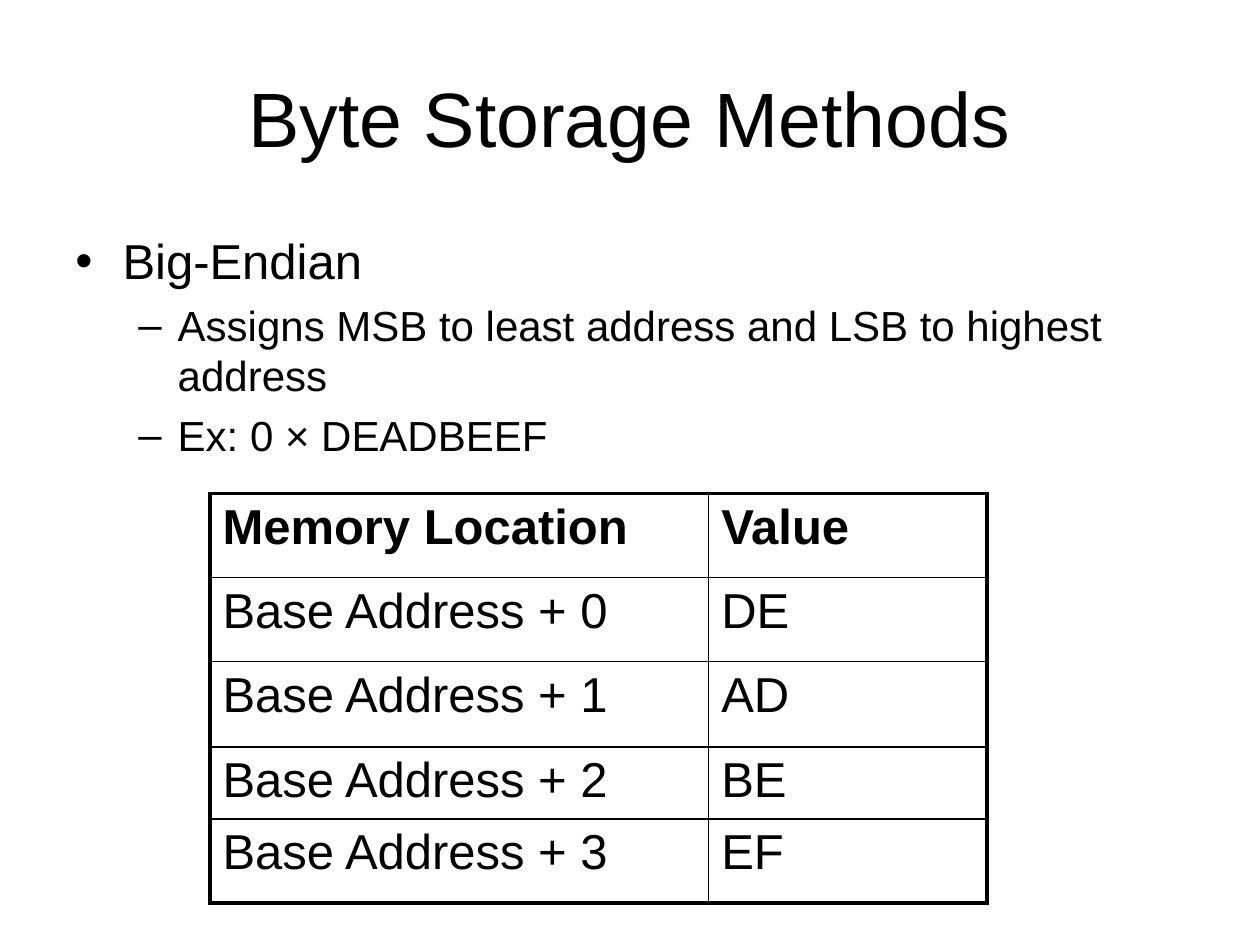
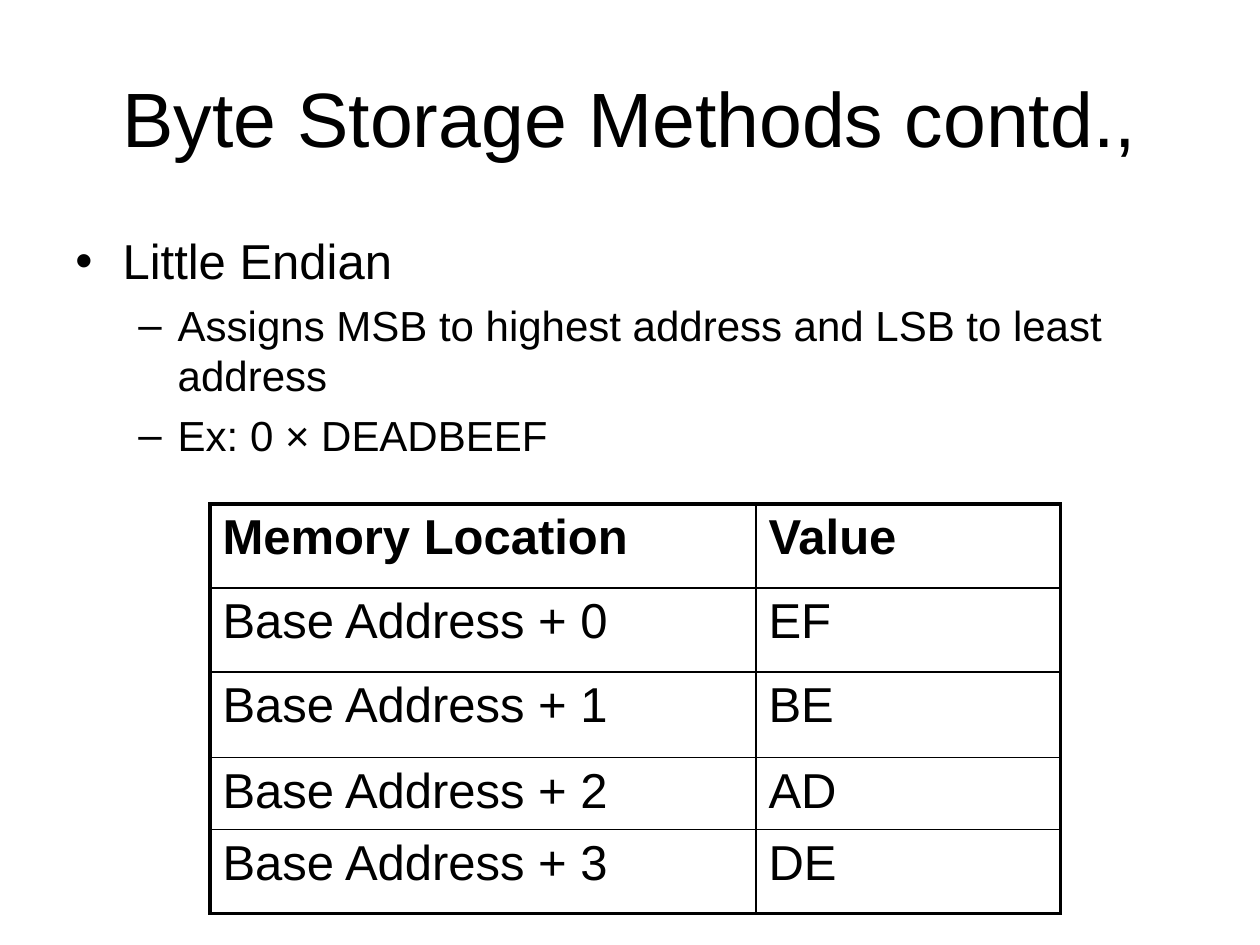
from lxml import etree
from pptx import Presentation
from pptx.dml.color import RGBColor
from pptx.enum import text
from pptx.oxml.ns import qn
from pptx.util import Pt

SLIDES = [
    {
        "title": "Byte Storage Methods",
        "method": "Big-Endian",
        "details": ["Assigns MSB to least address and LSB to highest address",
                    "Ex: 0 × DEADBEEF"],
        "bytes": ["DE", "AD", "BE", "EF"],
        "body_height": 144,
        "table_top": 282,
        "columns": [285, 159],
    },
    {
        "title": "Byte Storage Methods contd.,",
        "method": "Little Endian",
        "details": ["Assigns MSB to highest address and LSB to least address",
                    "Ex: 0 × DEADBEEF"],
        "bytes": ["EF", "BE", "AD", "DE"],
        "body_height": 150,
        "table_top": 288,
        "columns": [312, 174],
    },
]
HEADER = ("Memory Location", "Value")
ROW_HEIGHTS = [48, 48, 49, 41, 48]

FONT = "Arial"
BLACK = RGBColor(0, 0, 0)
WHITE = RGBColor(255, 255, 255)
TITLE_SIZE, MAIN_SIZE, DETAIL_SIZE = 44, 28, 24
LEFT, WIDTH = 36, 648
TABLE_LEFT = 120
OUTER_LINE, INNER_LINE = 2.25, 1


def style(para, size, bold=False):
    para.font.name = FONT
    para.font.size = Pt(size)
    para.font.bold = bold
    para.font.color.rgb = BLACK


def add_box(slide, top, height):
    box = slide.shapes.add_textbox(Pt(LEFT), Pt(top), Pt(WIDTH), Pt(height))
    box.text_frame.word_wrap = True
    return box.text_frame


def add_title(slide, title):
    frame = add_box(slide, 21.6, 90)
    frame.vertical_anchor = text.MSO_ANCHOR.MIDDLE
    para = frame.paragraphs[0]
    para.text = title
    para.alignment = text.PP_ALIGN.CENTER
    style(para, TITLE_SIZE)


def add_bullet(para, words, symbol, margin, hanging, size):
    para.text = words
    properties = para._p.get_or_add_pPr()
    properties.set("marL", str(Pt(margin)))
    properties.set("indent", str(-Pt(hanging)))
    etree.SubElement(properties, qn("a:buFont"), typeface=FONT)
    etree.SubElement(properties, qn("a:buChar"), char=symbol)
    style(para, size)


def add_body(slide, method, details, height):
    frame = add_box(slide, 126, height)
    frame.margin_top = Pt(6)
    add_bullet(frame.paragraphs[0], method, "•", 27, 27, MAIN_SIZE)
    for detail in details:
        para = frame.add_paragraph()
        add_bullet(para, detail, "–", 58.5, 22.5, DETAIL_SIZE)
        para.level = 1
        para.space_before = Pt(5.5)


def set_borders(cell, outer_sides):
    properties = cell._tc.get_or_add_tcPr()
    for position, (side, outer) in enumerate(outer_sides.items()):
        width = OUTER_LINE if outer else INNER_LINE
        line = etree.Element(qn(f"a:ln{side}"), w=str(Pt(width)))
        fill = etree.SubElement(line, qn("a:solidFill"))
        etree.SubElement(fill, qn("a:srgbClr"), val=str(BLACK))
        properties.insert(position, line)


def add_memory_table(slide, values, top, columns):
    rows = [HEADER] + [(f"Base Address + {offset}", value)
                       for offset, value in enumerate(values)]
    frame = slide.shapes.add_table(
        len(rows), len(columns), Pt(TABLE_LEFT), Pt(top),
        Pt(sum(columns)), Pt(sum(ROW_HEIGHTS)))
    table = frame.table
    for column, width in zip(table.columns, columns):
        column.width = Pt(width)
    for row, height in zip(table.rows, ROW_HEIGHTS):
        row.height = Pt(height)
    last_row, last_column = len(rows) - 1, len(columns) - 1
    for r, row in enumerate(rows):
        for c, words in enumerate(row):
            cell = table.cell(r, c)
            cell.fill.solid()
            cell.fill.fore_color.rgb = WHITE
            set_borders(cell, {"L": c == 0, "R": c == last_column,
                               "T": r == 0, "B": r == last_row})
            para = cell.text_frame.paragraphs[0]
            para.text = words
            style(para, MAIN_SIZE, bold=r == 0)


def main():
    deck = Presentation()
    deck.slide_width, deck.slide_height = Pt(720), Pt(540)
    for content in SLIDES:
        slide = deck.slides.add_slide(deck.slide_layouts[6])
        add_title(slide, content["title"])
        add_body(slide, content["method"], content["details"],
                 content["body_height"])
        add_memory_table(slide, content["bytes"], content["table_top"],
                         content["columns"])
    deck.save("out.pptx")


if __name__ == "__main__":
    main()
